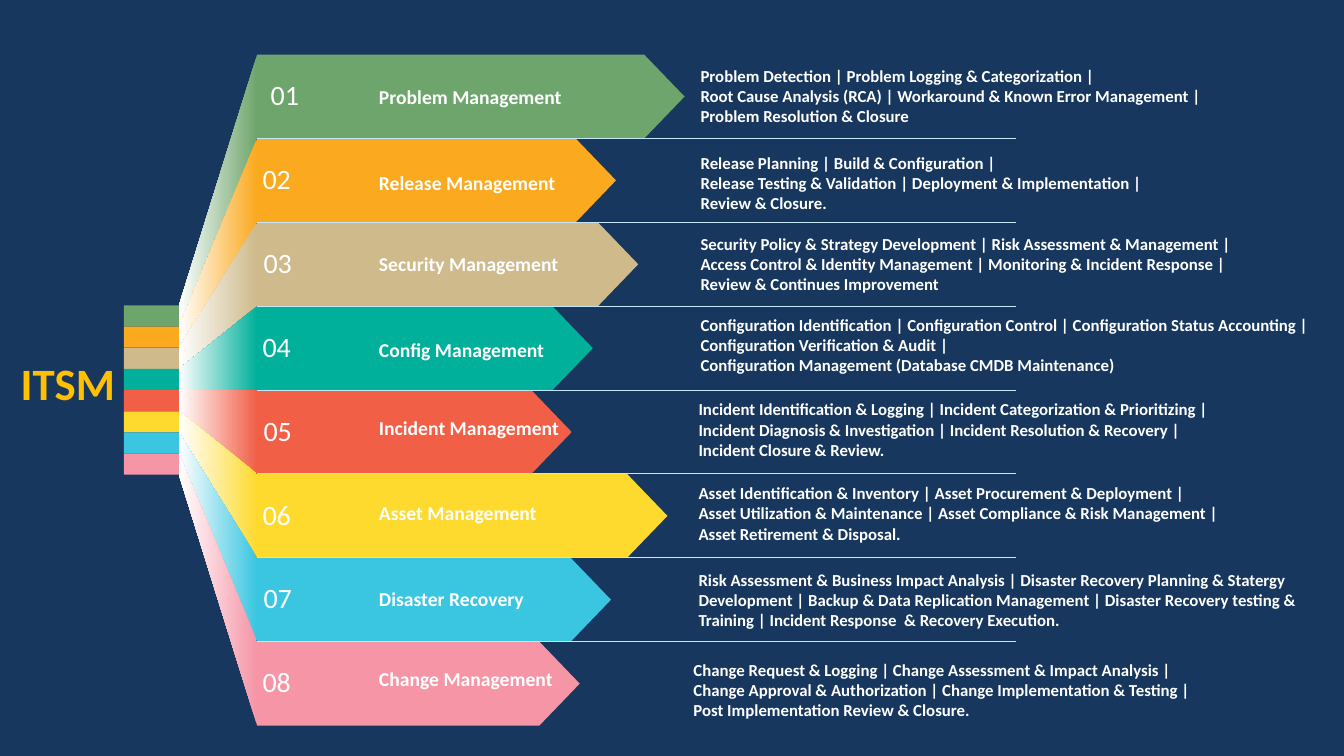
from collections import namedtuple

from lxml.etree import SubElement
from pptx import Presentation
from pptx.dml.color import RGBColor
from pptx.enum.shapes import MSO_CONNECTOR, MSO_SHAPE
from pptx.enum.text import MSO_AUTO_SIZE, PP_ALIGN
from pptx.oxml.ns import qn
from pptx.util import Inches, Pt

WIDE, HIGH = Inches(13.33), Inches(7.5)
CELL = HIGH / 75

NAVY = RGBColor(0x17, 0x37, 0x5E)
WHITE = RGBColor(0xFF, 0xFF, 0xFF)
GOLD = RGBColor(0xFF, 0xC0, 0x00)
PALE = RGBColor(0xC4, 0xE7, 0xF8)
GREEN = RGBColor(0x6E, 0xA5, 0x6C)
ORANGE = RGBColor(0xFB, 0xA9, 0x1E)
SAND = RGBColor(0xCE, 0xBA, 0x8B)
TEAL = RGBColor(0x00, 0xB0, 0x9B)
RED = RGBColor(0xF1, 0x5F, 0x47)
YELLOW = RGBColor(0xFE, 0xDA, 0x2F)
BLUE = RGBColor(0x3A, 0xC6, 0xE1)
PINK = RGBColor(0xF5, 0x95, 0xA6)

HEAD = {"name": "Calibri", "size": Pt(32), "bold": True}
DIGIT = {"name": "Calibri", "size": Pt(20), "bold": False}
TITLE = {"name": "Calibri", "size": Pt(14), "bold": True}
BODY = {"name": "Calibri", "size": Pt(12), "bold": True}

Box = namedtuple("Box", "x y w h")
Row = namedtuple("Row", "name color reach shift title_y note_x note_y note_w lines")

ROWS = [
    Row("Problem Management", GREEN, 42.4, 0, 2.5, 43, 0.6, 52.4, [
        "Problem Detection | Problem Logging & Categorization |",
        "Root Cause Analysis (RCA) | Workaround & Known Error Management |",
        "Problem Resolution & Closure"]),
    Row("Release Management", ORANGE, 35.6, -0.8, 2.7, 43, 0.9, 46.5, [
        "Release Planning | Build & Configuration |",
        "Release Testing & Validation | Deployment & Implementation |",
        "Review & Closure."]),
    Row("Security Management", SAND, 37.8, -0.7, 2.4, 43, 0.6, 55.3, [
        "Security Policy & Strategy Development | Risk Assessment & Management |",
        "Access Control & Identity Management | Monitoring & Incident Response |",
        "Review & Continues Improvement"]),
    Row("Config Management", TEAL, 33.3, -0.8, 2.7, 43, 0.3, 63.3, [
        "Configuration Identification | Configuration Control | Configuration Status Accounting |",
        "Configuration Verification & Audit |",
        "Configuration Management (Database CMDB Maintenance)"]),
    Row("Incident Management", RED, 31.2, -0.7, 2.1, 42.8, 0.4, 53.6, [
        "Incident Identification & Logging | Incident Categorization & Prioritizing |",
        "Incident Diagnosis & Investigation | Incident Resolution & Recovery |",
        "Incident Closure & Review."]),
    Row("Asset Management", YELLOW, 40.7, -0.8, 2.2, 42.8, 0.4, 54.3, [
        "Asset Identification & Inventory | Asset Procurement & Deployment |",
        "Asset Utilization & Maintenance | Asset Compliance & Risk Management |",
        "Asset Retirement & Disposal."]),
    Row("Disaster Recovery", BLUE, 35.1, -0.7, 2.4, 42.8, 0.7, 62.7, [
        "Risk Assessment & Business Impact Analysis | Disaster Recovery Planning & Statergy",
        "Development | Backup & Data Replication Management | Disaster Recovery testing &",
        "Training | Incident Response  & Recovery Execution."]),
    Row("Change Management", PINK, 32, -0.8, 2, 42.3, 1.3, 52.3, [
        "Change Request & Logging | Change Assessment & Impact Analysis |",
        "Change Approval & Authorization | Change Implementation & Testing |",
        "Post Implementation Review & Closure."]),
]


def scale(*cells):
    """Turn grid cells into slide lengths."""
    return [round(cell * CELL) for cell in cells]


def paint(shape, color):
    """Give a shape a flat fill without line or shadow."""
    shape.shadow.inherit = False
    shape.line.fill.background()
    shape.fill.solid()
    shape.fill.fore_color.rgb = color


def outline(slide, spots, color):
    """Draw a closed outline through grid spots."""
    spots = [scale(*spot) for spot in spots]
    pen = slide.shapes.build_freeform(*spots[0])
    pen.add_line_segments(spots[1:], close=True)
    shape = pen.convert_to_shape()
    paint(shape, color)
    return shape


def write(slide, box, lines, style, color=WHITE, align=PP_ALIGN.LEFT):
    """Write one paragraph a line in a box."""
    frame = slide.shapes.add_textbox(*scale(*box)).text_frame
    frame.word_wrap = True
    frame.auto_size = MSO_AUTO_SIZE.SHAPE_TO_FIT_TEXT
    for i, line in enumerate(lines):
        para = frame.paragraphs[0] if i == 0 else frame.add_paragraph()
        para.alignment = align
        run = para.add_run()
        run.text = line
        for key, value in style.items():
            setattr(run.font, key, value)
        run.font.color.rgb = color


def arrow(slide, box, color):
    """Draw a banner whose point fills the last four cells."""
    x, y, w, h = box
    neck = x + w - 4
    outline(slide, [(x, y), (neck, y), (x + w, y + h / 2),
                    (neck, y + h), (x, y + h)], color)


def fan(slide, chip, band, color):
    """Draw a chip and the fading beam from it to its band."""
    block = slide.shapes.add_shape(MSO_SHAPE.RECTANGLE, *scale(*chip))
    paint(block, color)
    edge = chip.x + chip.w
    beam = outline(slide, [(edge, chip.y + chip.h), (band.x, band.y + band.h),
                           (band.x, band.y), (edge, chip.y)], color)
    beam.fill.gradient()
    beam.fill.gradient_angle = 180
    for stop, tint, place in zip(beam.fill.gradient_stops, (color, WHITE), (0, 1)):
        stop.color.rgb = tint
        stop.position = place


def rule(slide, box):
    """Draw a thin line along the top of a box."""
    x, y, end = scale(box.x, box.y, box.x + box.w)
    line = slide.shapes.add_connector(MSO_CONNECTOR.STRAIGHT, x, y, end, y)
    line.line.color.rgb = PALE
    line.line.width = Pt(0.75)
    SubElement(line._element.spPr, qn("a:effectLst"))


def label(slide, box, row, count):
    """Write the number, title and notes of a band."""
    x, y = box.x, box.y
    write(slide, Box(x + row.shift, y + 1.8, 5.5, 4.8), [f"{count:02}"],
          DIGIT, align=PP_ALIGN.CENTER)
    write(slide, Box(x + 11.1, y + row.title_y, 22.9, 3.4), [row.name], TITLE)
    write(slide, Box(x + row.note_x, y + row.note_y, row.note_w, 7.1), row.lines, BODY)


def chart(slide, area, stack):
    """Place the bands in an area and the chips in a stack."""
    tall, thin = area.h / len(ROWS), stack.h / len(ROWS)
    bands = [Box(area.x, area.y + i * tall, area.w, tall) for i in range(len(ROWS))]
    for row, band in zip(ROWS, bands):
        arrow(slide, band._replace(w=row.reach), row.color)
    for i, (row, band) in enumerate(zip(ROWS, bands)):
        fan(slide, Box(stack.x, stack.y + i * thin, stack.w, thin), band, row.color)
    for band in bands[1:]:
        rule(slide, band)
    for count, (row, band) in enumerate(zip(ROWS, bands), 1):
        label(slide, band, row, count)


def main():
    """Build and save the slide."""
    deck = Presentation()
    deck.slide_width, deck.slide_height = WIDE, HIGH
    slide = deck.slides.add_slide(deck.slide_layouts[6])
    slide.background.fill.solid()
    slide.background.fill.fore_color.rgb = NAVY
    chart(slide, Box(25.5, 5.42, 75.3, 66.56), Box(12.3, 30.3, 5.45, 16.8))
    write(slide, Box(0, 34.8, 12.4, 6.4), ["ITSM"], HEAD, GOLD, PP_ALIGN.RIGHT)
    deck.save("out.pptx")


if __name__ == "__main__":
    main()
